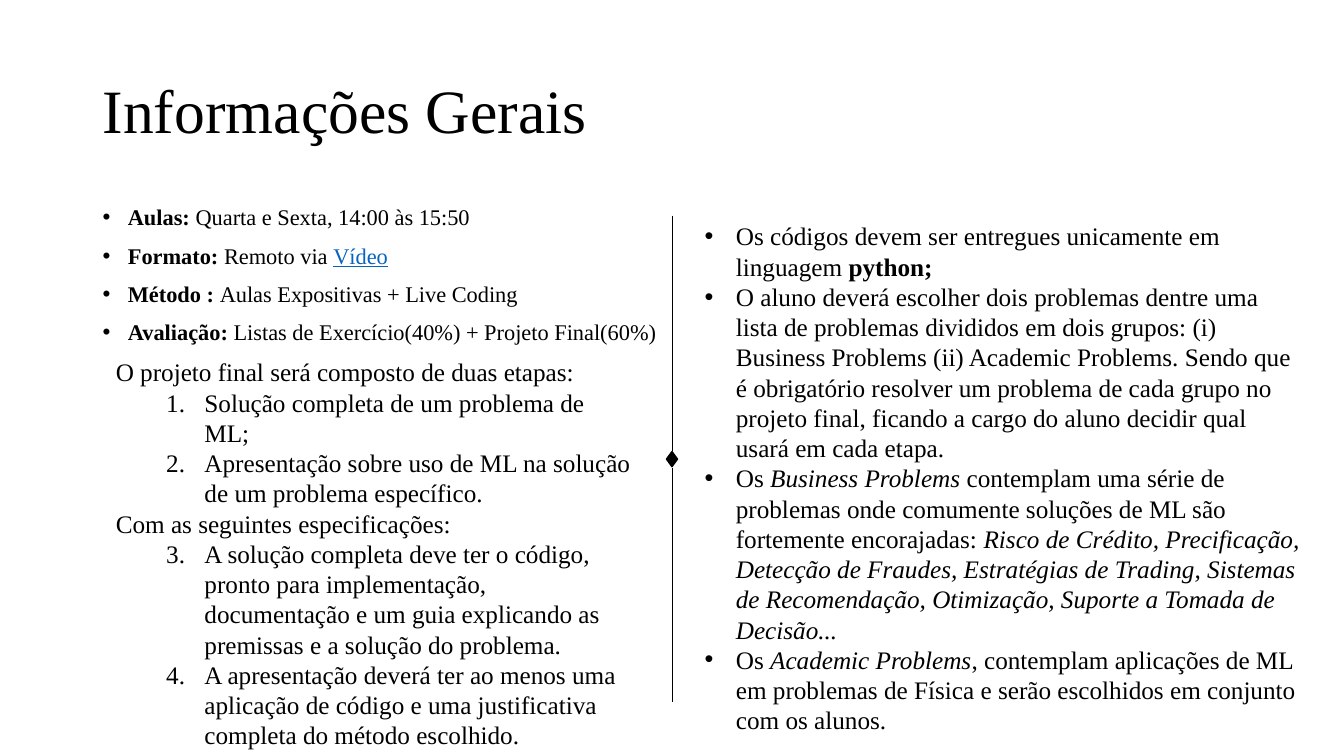
from pptx import Presentation
from pptx.dml.color import RGBColor
from pptx.enum.shapes import MSO_CONNECTOR, MSO_SHAPE
from pptx.enum.text import MSO_ANCHOR, MSO_AUTO_SIZE
from pptx.oxml.ns import qn
from pptx.util import Inches, Pt
from lxml.etree import SubElement

FONT, BLACK, BLUE = "Times New Roman", "000000", "0563C1"

# Content: a paragraph is (mark, runs), a run is (text, style)
# Mark: "" for none, "•" for a bullet, a number for the start of a list
# Style: b bold, i italic, u link
TITLE = [("", [("Informações Gerais", "")])]
FACTS = [
    ("•", [("Aulas: ", "b"), ("Quarta e Sexta, 14:00 às 15:50", "")]),
    ("•", [("Formato: ", "b"), ("Remoto via ", ""), ("Vídeo", "u")]),
    ("•", [("Método : ", "b"), ("Aulas Expositivas + Live Coding", "")]),
    ("•", [("Avaliação: ", "b"),
           ("Listas de Exercício(40%) + Projeto Final(60%)", "")]),
]
STEPS = [
    ("", [("O projeto final será composto de duas etapas:", "")]),
    (1, [("Solução completa de um problema de ML;", "")]),
    (1, [("Apresentação sobre uso de ML na solução de um problema "
          "específico.", "")]),
    ("", [("Com as seguintes especificações:", "")]),
    (3, [("A solução completa deve ter o código, pronto para implementação, "
          "documentação e um guia explicando as premissas e a solução do "
          "problema.", "")]),
    (3, [("A apresentação deverá ter ao menos uma aplicação de código e uma "
          "justificativa completa do método escolhido.", "")]),
]
RULES = [
    ("•", [("Os códigos devem ser entregues unicamente em linguagem ", ""),
           ("python;", "b")]),
    ("•", [("O aluno deverá escolher dois problemas dentre uma lista de "
            "problemas divididos em dois grupos: (i) Business Problems (ii) "
            "Academic Problems. Sendo que é obrigatório resolver um problema "
            "de cada grupo no projeto final, ficando a cargo do aluno decidir "
            "qual usará em cada etapa.", "")]),
    ("•", [("Os ", ""), ("Business Problems ", "i"),
           ("contemplam uma série de problemas onde comumente soluções de ML "
            "são fortemente encorajadas: ", ""),
           ("Risco de Crédito, Precificação, Detecção de Fraudes, Estratégias "
            "de Trading, Sistemas de Recomendação, Otimização, Suporte a "
            "Tomada de Decisão...", "i")]),
    ("•", [("Os ", ""), ("Academic Problems", "i"),
           (", contemplam aplicações de ML em problemas de Física e serão "
            "escolhidos em conjunto com os alunos.", "")]),
]

# Text blocks: content, place, size, indent, line spacing, space before
BLOCKS = [
    (TITLE, (0.92, 0.4, 11.5, 1.45), 44, 0, 0.9, 0),
    (FACTS, (0.92, 2, 5.75, 1.64), 16, 0.25, 0.9, 10),
    (STEPS, (1.05, 3.49, 5.33, 3.74), 18, 0.38, 1, 0),
    (RULES, (6.89, 2.14, 6.12, 5.25), 18, 0.31, 1, 0),
]


def color(code):
    return RGBColor.from_string(code)


def mark_up(para, mark, step):
    """Give a paragraph its bullet or number and its hanging indent."""
    props = para._p.get_or_add_pPr()
    if mark == "":
        SubElement(props, qn("a:buNone"))
        return
    left = step
    if mark == "•":
        SubElement(props, qn("a:buFont"), typeface="Arial")
        SubElement(props, qn("a:buChar"), char=mark)
    else:
        para.level = 1
        left += 0.5
        SubElement(props, qn("a:buFont"), typeface="+mj-lt")
        SubElement(props, qn("a:buAutoNum"), type="arabicPeriod",
                   startAt=str(mark))
    props.set("marL", str(Inches(left)))
    props.set("indent", str(-Inches(step)))


def add_text(paras, place, size, step, lines, before):
    frame = slide.shapes.add_textbox(*map(Inches, place)).text_frame
    frame.word_wrap = True
    frame.auto_size = MSO_AUTO_SIZE.NONE
    for n, (mark, runs) in enumerate(paras):
        para = frame.add_paragraph() if n else frame.paragraphs[0]
        para.line_spacing = lines
        para.space_before = Pt(before)
        mark_up(para, mark, step)
        for text, style in runs:
            run = para.add_run()
            run.text = text
            font = run.font
            font.name, font.size = FONT, Pt(size)
            font.bold, font.italic = style == "b", style == "i"
            font.underline = style == "u"
            font.color.rgb = color(BLUE if style == "u" else BLACK)
    return frame


deck = Presentation()
deck.slide_width, deck.slide_height = Inches(13.33), Inches(7.5)
slide = deck.slides.add_slide(deck.slide_layouts[6])

# Title and text columns
frames = [add_text(*block) for block in BLOCKS]
frames[0].vertical_anchor = MSO_ANCHOR.MIDDLE

# Divider: two lines with a diamond between them
MID = 6.67
for top, end in [(2.14, 4.47), (4.64, 6.96)]:
    line = slide.shapes.add_connector(
        MSO_CONNECTOR.STRAIGHT, *map(Inches, (MID, top, MID, end)))
    line.line.color.rgb = color(BLACK)
    line.line.width = Pt(0.5)
    SubElement(line._element.spPr, qn("a:effectLst"))

gem = slide.shapes.add_shape(
    MSO_SHAPE.DIAMOND, *map(Inches, (MID - 0.06, 4.48, 0.11, 0.15)))
gem.shadow.inherit = False
gem.fill.solid()
gem.fill.fore_color.rgb = color(BLACK)
gem.line.color.rgb = color(BLACK)
gem.line.width = Pt(1)

deck.save("out.pptx")
